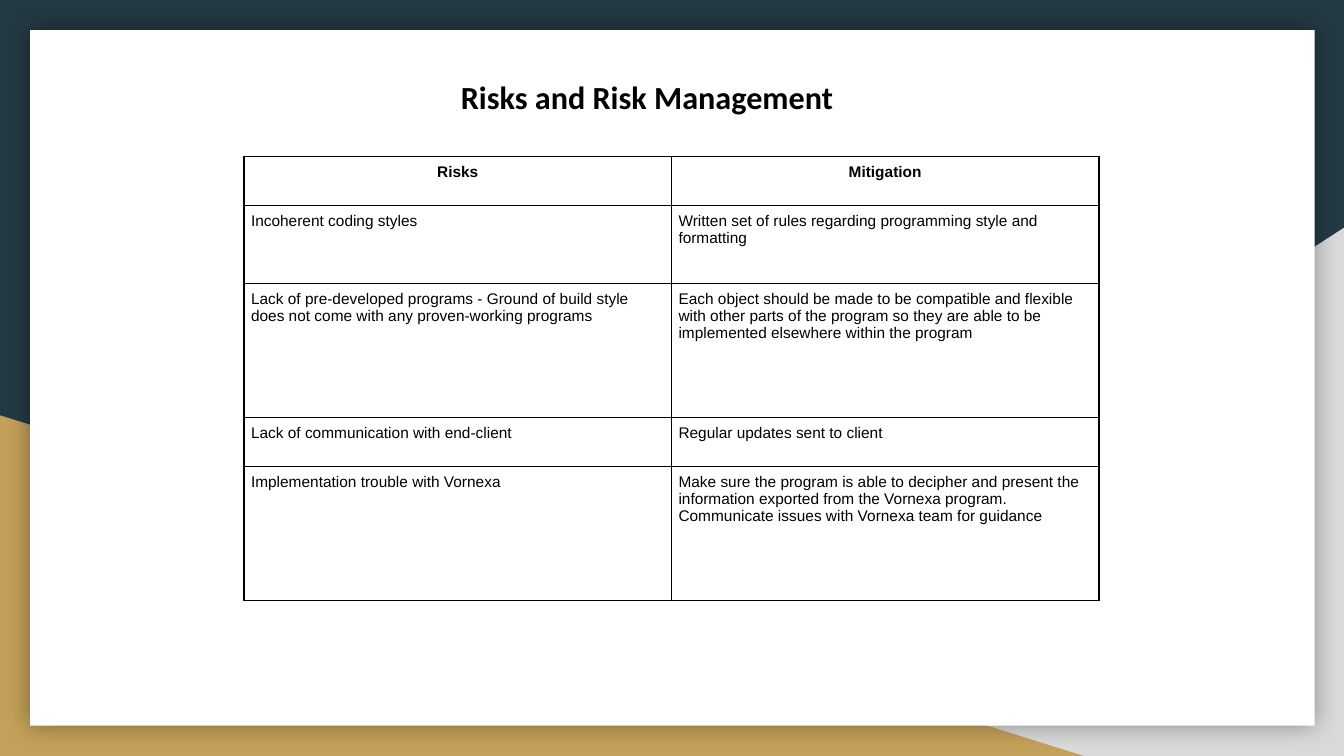
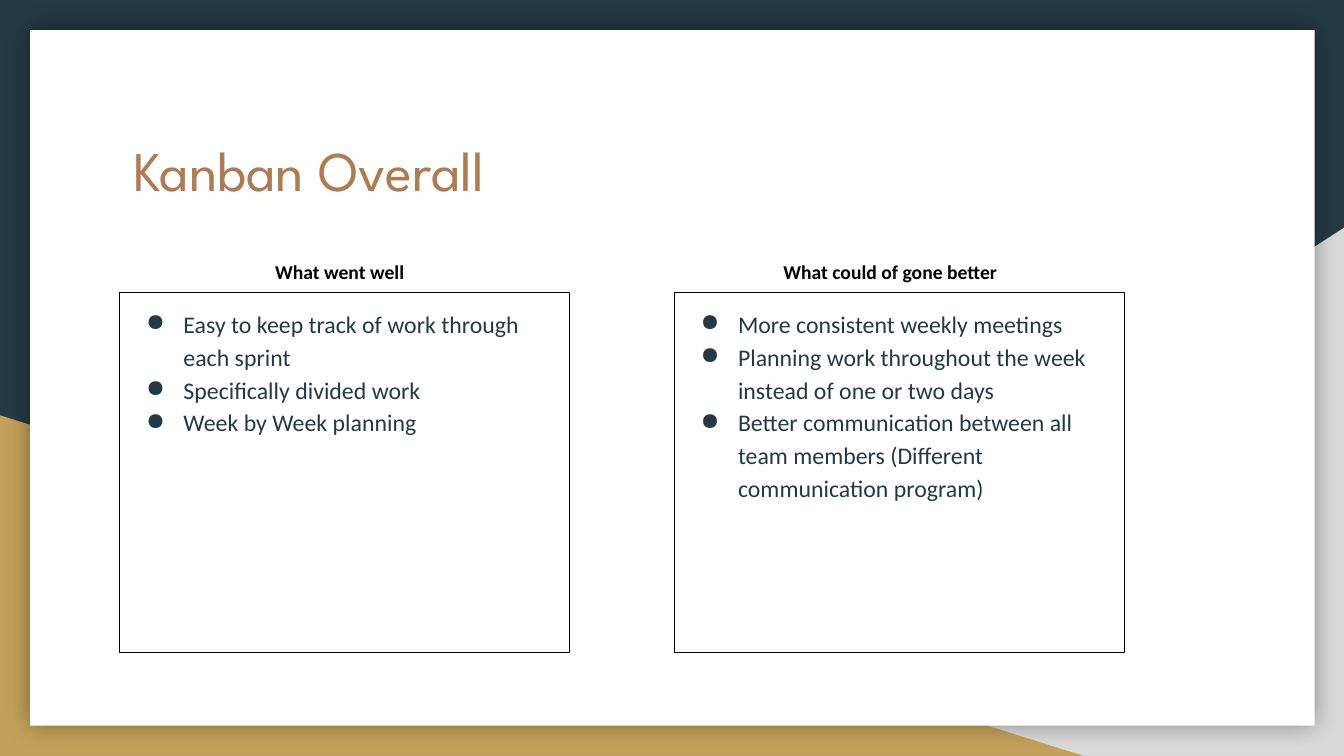
from lxml import etree
from pptx import Presentation
from pptx import util as u
from pptx.dml.color import RGBColor
from pptx.enum import shapes, text
from pptx.oxml import parse_xml
from pptx.oxml.ns import nsdecls, qn

NAVY, GOLD, GRAY, COPPER = "233A44", "C4A15A", "D9D9D9", "AF7B51"
WHITE, BLACK = "FFFFFF", "000000"
LEFT, CENTER = text.PP_ALIGN.LEFT, text.PP_ALIGN.CENTER
TITLE_ONLY = 5

RISKS = [
    ("Risks", "Mitigation"),
    ("Incoherent coding styles",
     "Written set of rules regarding programming style and formatting"),
    ("Lack of pre-developed programs - Ground of build style does not come "
     "with any proven-working programs",
     "Each object should be made to be compatible and flexible with other parts "
     "of the program so they are able to be implemented elsewhere within the program"),
    ("Lack of communication with end-client", "Regular updates sent to client"),
    ("Implementation trouble with Vornexa",
     "Make sure the program is able to decipher and present the information "
     "exported from the Vornexa program. Communicate issues with Vornexa team "
     "for guidance"),
]
ROW_HEIGHTS = [0.49, 0.77, 1.33, 0.49, 1.33]

WENT_WELL = ["Easy to keep track of work through each sprint",
             "Specifically divided work", "Week by Week planning"]
GO_BETTER = ["More consistent weekly meetings",
             "Planning work throughout the week instead of one or two days",
             "Better communication between all team members "
             "(Different communication program)"]


def rgb(color):
    return RGBColor.from_string(color)


def inches(*lengths):
    return [u.Inches(length) for length in lengths]


def add_bullet(paragraph, color):
    props = paragraph._p.get_or_add_pPr()
    props.set("marL", str(u.Inches(0.5)))
    props.set("indent", str(u.Inches(-0.37)))
    bullet_color = etree.SubElement(props, qn("a:buClr"))
    etree.SubElement(bullet_color, qn("a:srgbClr")).set("val", color)
    etree.SubElement(props, qn("a:buChar")).set("char", "●")


def write(frame, lines, size, color=BLACK, font="Calibri", bold=False,
          align=LEFT, spacing=None, bullets=False):
    """Fill a text frame with one paragraph for each line."""
    for index, line in enumerate(lines):
        paragraph = frame.add_paragraph() if index else frame.paragraphs[0]
        if bullets:
            add_bullet(paragraph, color)
        paragraph.alignment = align
        if spacing:
            paragraph.line_spacing = spacing
        run = paragraph.add_run()
        run.text = line
        run.font.size, run.font.name, run.font.bold = u.Pt(size), font, bold
        run.font.color.rgb = rgb(color)


def set_frame(frame, inset, wrap=True):
    frame.margin_left = frame.margin_right = u.Inches(inset)
    frame.margin_top = frame.margin_bottom = u.Inches(inset)
    frame.vertical_anchor = text.MSO_ANCHOR.TOP
    frame.auto_size = text.MSO_AUTO_SIZE.NONE
    frame.word_wrap = wrap


def add_shape(slide, kind, box, fill=None, line=None):
    shape = slide.shapes.add_shape(kind, *inches(*box))
    shape.shadow.inherit = False
    if fill:
        shape.fill.solid()
        shape.fill.fore_color.rgb = rgb(fill)
    else:
        shape.fill.background()
    if line:
        shape.line.color.rgb = rgb(line)
        shape.line.width = u.Pt(0.75)
    else:
        shape.line.fill.background()
    return shape


def set_backdrop(master, slide):
    """Build the backdrop on a slide, then move it to the master for all slides."""
    master.background.fill.solid()
    master.background.fill.fore_color.rgb = rgb(NAVY)
    triangle = shapes.MSO_SHAPE.RIGHT_TRIANGLE
    gray_corner = add_shape(slide, triangle, (5.22, 2.26, 8.11, 5.24), GRAY)
    gray_corner._element.spPr.find(qn("a:xfrm")).set("flipH", "1")
    gold_corner = add_shape(slide, triangle, (0, 4.12, 10.75, 3.38), GOLD)
    page = add_shape(slide, shapes.MSO_SHAPE.RECTANGLE, (0.3, 0.3, 12.74, 6.9), WHITE)
    page._element.spPr.find(qn("a:effectLst")).append(parse_xml(
        f'<a:outerShdw {nsdecls("a")} blurRad="{u.Pt(18)}" dist="0" dir="0" '
        f'algn="ctr" rotWithShape="0"><a:srgbClr val="{BLACK}">'
        '<a:alpha val="40000"/></a:srgbClr></a:outerShdw>'))
    for position, part in enumerate((gray_corner, gold_corner, page), start=2):
        master.shapes.element.insert(position, part._element)


def set_title(slide, title, box, inset, **style):
    holder = slide.shapes.title
    holder.left, holder.top, holder.width, holder.height = inches(*box)
    set_frame(holder.text_frame, inset)
    write(holder.text_frame, [title], **style)


def set_borders(cell, color, width):
    props = cell._tc.get_or_add_tcPr()
    for position, side in enumerate(("lnL", "lnR", "lnT", "lnB")):
        props.insert(position, parse_xml(
            f'<a:{side} {nsdecls("a")} w="{u.Pt(width)}"><a:solidFill>'
            f'<a:srgbClr val="{color}"/></a:solidFill></a:{side}>'))


def add_risk_table(slide, left, top, column_width):
    columns = len(RISKS[0])
    table = slide.shapes.add_table(
        len(RISKS), columns,
        *inches(left, top, columns * column_width, sum(ROW_HEIGHTS))).table
    table.first_row = table.horz_banding = False
    for column in table.columns:
        column.width = u.Inches(column_width)
    for r, (row, height) in enumerate(zip(RISKS, ROW_HEIGHTS)):
        table.rows[r].height = u.Inches(height)
        for c, words in enumerate(row):
            cell = table.cell(r, c)
            cell.margin_left = cell.margin_right = u.Inches(0.07)
            cell.margin_top = cell.margin_bottom = u.Inches(0.07)
            cell.fill.background()
            set_borders(cell, BLACK, 1)
            write(cell.text_frame, [words], 11, font="Arial", bold=r == 0,
                  align=CENTER if r == 0 else LEFT)


def add_review_panel(slide, box, heading, heading_left, heading_width, points):
    """Add a framed bullet list, with its heading offset from the frame's left."""
    left, top, _, _ = box
    panel = add_shape(slide, shapes.MSO_SHAPE.RECTANGLE, box, line=BLACK)
    set_frame(panel.text_frame, 0.13)
    write(panel.text_frame, points, 17, NAVY, spacing=1.15, bullets=True)
    label = slide.shapes.add_textbox(
        *inches(left + heading_left, top - 0.42, heading_width, 0.3))
    set_frame(label.text_frame, 0.1, wrap=False)
    write(label.text_frame, [heading], 14, bold=True)


def build_risks(slide):
    set_title(slide, "Risks and Risk Management", (4.47, 0.67, 4.39, 0.62), 0.1,
              size=23, bold=True)
    add_risk_table(slide, 2.42, 1.55, 4.24)


def build_kanban(slide):
    set_title(slide, "Kanban Overall", (1.19, 1.21, 10.94, 1.39), 0.13,
              size=40, color=COPPER, font="League Spartan")
    panels = [("What went well", 1.44, 1.6, WENT_WELL),
              ("What could of gone better", 0.98, 2.51, GO_BETTER)]
    for index, panel in enumerate(panels):
        add_review_panel(slide, (1.19 + index * 5.5, 2.9, 4.46, 3.57), *panel)


def main():
    deck = Presentation()
    deck.slide_width, deck.slide_height = inches(13.33, 7.5)
    layout = deck.slide_layouts[TITLE_ONLY]
    risks, kanban = (deck.slides.add_slide(layout) for _ in range(2))
    set_backdrop(deck.slide_master, risks)
    build_risks(risks)
    build_kanban(kanban)
    deck.save("out.pptx")


if __name__ == "__main__":
    main()
